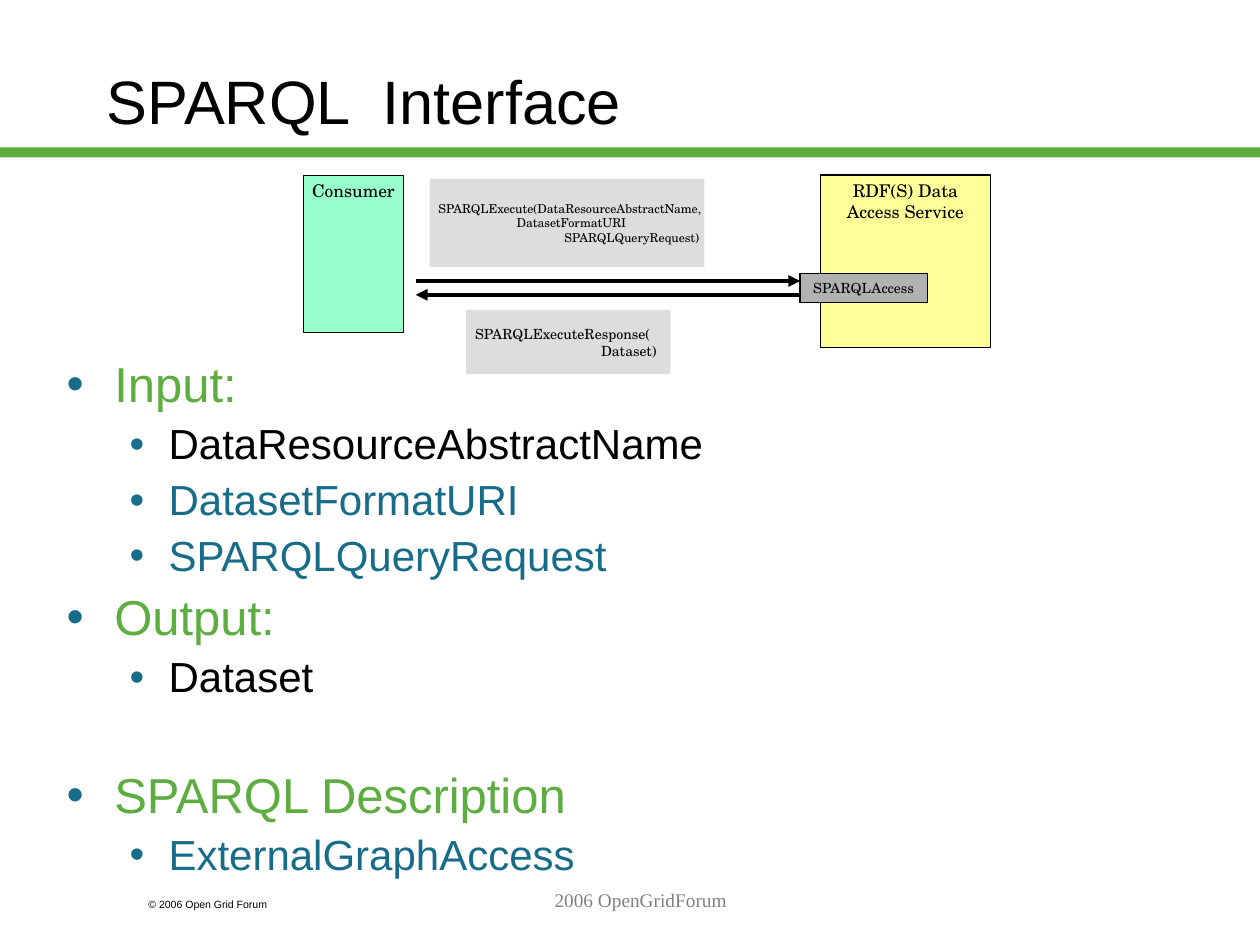
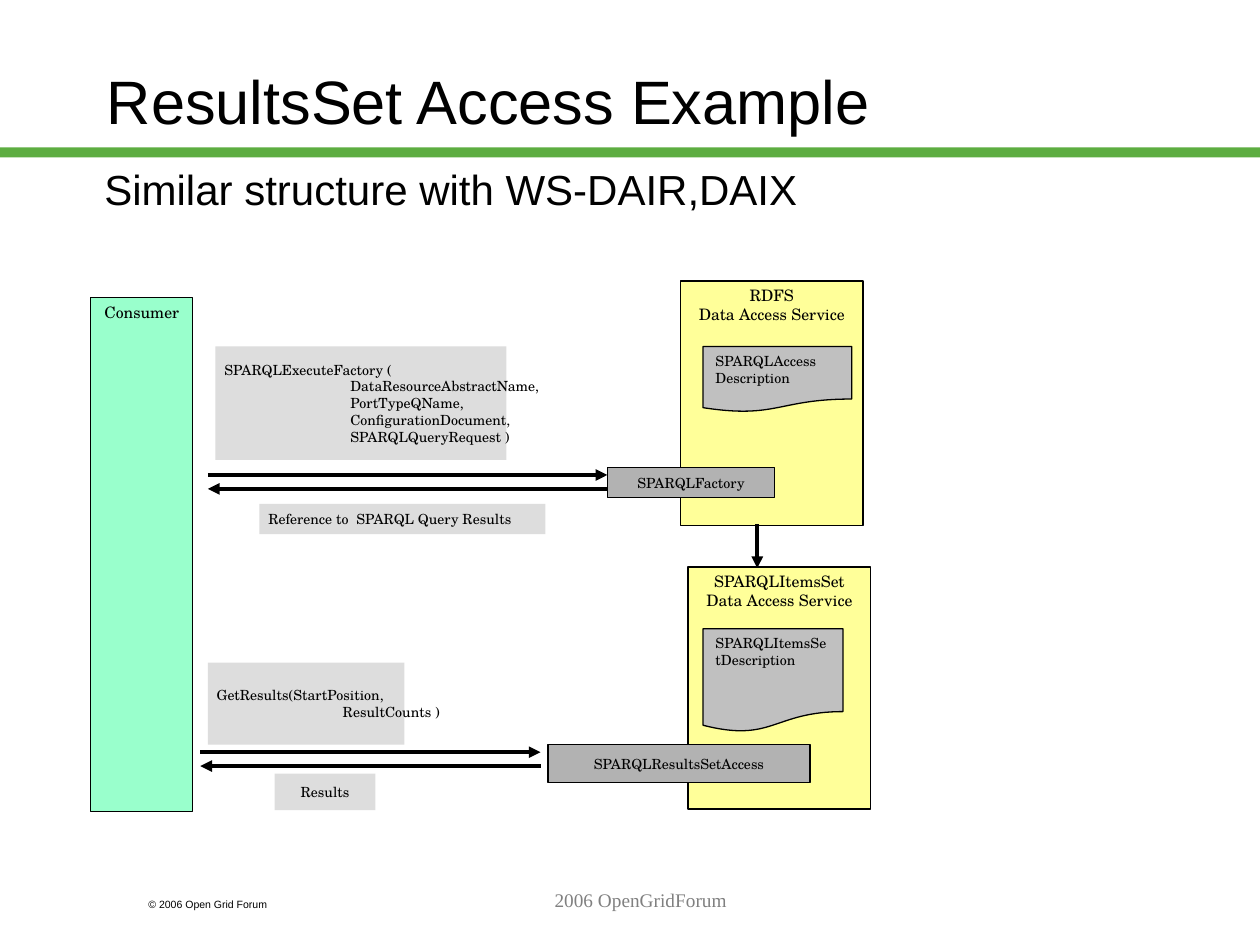
"""Two slides on the SPARQL interface and on access to result sets."""
from lxml import etree
from pptx import Presentation
from pptx.dml.color import RGBColor
from pptx.enum import shapes, text
from pptx.oxml.ns import qn
from pptx.util import Inches, Pt

WIDTH, HEIGHT = 10, 7.5
COLUMNS, ROWS = 100, 75
BLACK, GREEN, TEAL, GREY = "000000", "5DAD41", "176D89", "808080"
MINT, YELLOW, SILVER, MID_GREY, PALE = "99FFCC", "FFFF99", "C0C0C0", "B2B2B2", "DDDDDD"
SANS, SERIF, SCHOOL = "Arial", "Times New Roman", "TeX Gyre Schola"
LEFT, CENTER = text.PP_ALIGN.LEFT, text.PP_ALIGN.CENTER
TOP, MIDDLE = text.MSO_ANCHOR.TOP, text.MSO_ANCHOR.MIDDLE
RECTANGLE = shapes.MSO_SHAPE.RECTANGLE
DOCUMENT = shapes.MSO_SHAPE.FLOWCHART_DOCUMENT
ARGUMENT_INDENT = 10
ARROW_GAP = 1.1
LEVELS = [
    {"size": 28, "indent": 3.8, "hanging": 3.8, "before": 7},
    {"size": 24, "indent": 8.1, "hanging": 3.1, "before": 6},
]


def color(value):
    """Turn a hex string into a colour."""
    return RGBColor.from_string(value)


def across(columns):
    """Turn grid columns into a length."""
    return Inches(columns * WIDTH / COLUMNS)


def down(rows):
    """Turn grid rows into a length."""
    return Inches(rows * HEIGHT / ROWS)


def place(left, top, width, height):
    """Turn a grid area into lengths."""
    return across(left), down(top), across(width), down(height)


def apply(target, values):
    """Set each named value on the target."""
    for name, value in values.items():
        setattr(target, name, value)


def add_run(paragraph, wording, size, font, ink):
    """Add one run of formatted text to a paragraph."""
    run = paragraph.add_run()
    run.text = wording
    apply(run.font, {"size": Pt(size), "name": font})
    run.font.color.rgb = color(ink)


def paragraphs(frame, count):
    """Return the first paragraph of a frame and the ones added after it."""
    return [frame.paragraphs[0]] + [frame.add_paragraph() for _ in range(count - 1)]


def write(frame, lines, size, font=SCHOOL, ink=BLACK, align=LEFT, indents=(),
          anchor=TOP, wrap=True, inset=(0.1, 0.05)):
    """Fill a frame with lines, each with its own left indent."""
    side, edge = map(Inches, inset)
    apply(frame, {"margin_left": side, "margin_right": side, "margin_top": edge,
                  "margin_bottom": edge, "vertical_anchor": anchor, "word_wrap": wrap})
    for index, paragraph in enumerate(paragraphs(frame, len(lines))):
        paragraph.alignment = align
        if index < len(indents) and indents[index]:
            paragraph._p.get_or_add_pPr().set("marL", str(across(indents[index])))
        add_run(paragraph, lines[index], size, font, ink)


def caption(slide, area, wording, size, font=SANS, **style):
    """Add a line of free text."""
    box = slide.shapes.add_textbox(*place(*area))
    write(box.text_frame, [wording], size, font, **style)


def panel(slide, area, fill, outline=BLACK, kind=RECTANGLE):
    """Add a filled shape and return its text frame."""
    shape = slide.shapes.add_shape(kind, *place(*area))
    shape.shadow.inherit = False
    shape.fill.solid()
    shape.fill.fore_color.rgb = color(fill)
    if outline:
        shape.line.color.rgb = color(outline)
        shape.line.width = Pt(0.75)
    else:
        shape.line.fill.background()
    return shape.text_frame


def party(slide, area, fill, lines, size, **style):
    """Add a consumer or a service with its name at the top."""
    write(panel(slide, area, fill), lines, size, align=CENTER, inset=(0.07, 0.04), **style)


def port(slide, area, name):
    """Add the interface through which a service is reached."""
    write(panel(slide, area, MID_GREY), [name], 8, align=CENTER, anchor=MIDDLE,
          inset=(0.07, 0.04))


def message(slide, area, lines, size=8, indents=(), align=LEFT):
    """Add the wording of a request or a response."""
    write(panel(slide, area, PALE, None), lines, size, align=align, indents=indents,
          anchor=MIDDLE, wrap=False, inset=(0.07, 0.04))


def description(slide, area, lines):
    """Add a document that describes a service."""
    write(panel(slide, area, SILVER, kind=DOCUMENT), lines, 8)


def arrow(slide, start, end):
    """Draw an arrow between two grid points."""
    link = slide.shapes.add_connector(
        shapes.MSO_CONNECTOR.STRAIGHT,
        across(start[0]), down(start[1]), across(end[0]), down(end[1]))
    link.line.color.rgb = color(BLACK)
    link.line.width = Pt(2.25)
    etree.SubElement(link.line._get_or_add_ln(), qn("a:tailEnd"), type="triangle")
    etree.SubElement(link._element.spPr, qn("a:effectLst"))


def exchange(slide, left, right, row):
    """Draw a request arrow with the response arrow below it."""
    arrow(slide, (left, row), (right, row))
    arrow(slide, (right, row + ARROW_GAP), (left, row + ARROW_GAP))


def add_bullet(paragraph, level):
    """Give a paragraph a hanging teal bullet."""
    properties = paragraph._p.get_or_add_pPr()
    properties.set("marL", str(across(level["indent"])))
    properties.set("indent", str(-across(level["hanging"])))
    tint = etree.SubElement(properties, qn("a:buClr"))
    etree.SubElement(tint, qn("a:srgbClr"), val=TEAL)
    etree.SubElement(properties, qn("a:buFont"), typeface=SANS)
    etree.SubElement(properties, qn("a:buChar"), char="•")


def outline(slide, area, items):
    """Add a bulleted list of (level, wording, ink, extra space before)."""
    frame = slide.shapes.add_textbox(*place(*area)).text_frame
    frame.word_wrap = True
    for index, paragraph in enumerate(paragraphs(frame, len(items))):
        depth, wording, ink, extra = items[index]
        level = LEVELS[depth]
        add_bullet(paragraph, level)
        before = level["before"] + extra if index else 0
        apply(paragraph, {"level": depth, "line_spacing": 0.9, "space_before": Pt(before)})
        add_run(paragraph, wording, level["size"], SANS, ink)


def add_slide(deck, title):
    """Add a slide with the title, the green band and both footers."""
    slide = deck.slides.add_slide(deck.slide_layouts[6])
    panel(slide, (0, 11.7, COLUMNS, 0.8), GREEN, None)
    caption(slide, (10.8, 70.8, 15, 2), "© 2006 Open Grid Forum", 6)
    caption(slide, (7.5, 1.7, 85, 12.5), title, 35, anchor=MIDDLE)
    caption(slide, (21.7, 70, 58.3, 5), "2006 OpenGridForum", 11, SERIF,
            ink=GREY, align=CENTER)
    return slide


def interface_slide(deck):
    """Build the slide on the SPARQL interface."""
    slide = add_slide(deck, "SPARQL  Interface")
    outline(slide, (4.3, 28.1, 85, 45), [
        (0, "Input:", GREEN, 0),
        (1, "DataResourceAbstractName", BLACK, 0),
        (1, "DatasetFormatURI", TEAL, 0),
        (1, "SPARQLQueryRequest", TEAL, 0),
        (0, "Output:", GREEN, 0),
        (1, "Dataset", BLACK, 0),
        (0, "SPARQL Description", GREEN, 32.5),
        (1, "ExternalGraphAccess", TEAL, 0),
    ])
    party(slide, (24.1, 13.9, 7.9, 12.5), MINT, ["Consumer"], 10, wrap=False)
    exchange(slide, 33, 63.5, 22.3)
    message(slide, (34.1, 14.2, 21.8, 7),
            ["SPARQLExecute(DataResourceAbstractName,", "DatasetFormatURI",
             "SPARQLQueryRequest)"], 7, indents=(0, 6.2, ARGUMENT_INDENT))
    message(slide, (37, 24.6, 16.2, 5.1), ["SPARQLExecuteResponse(", "Dataset)"],
            indents=(0, ARGUMENT_INDENT))
    party(slide, (65.1, 13.9, 13.5, 13.7), YELLOW, ["RDF(S) Data Access Service"], 10)
    port(slide, (63.5, 21.7, 10.1, 2.3), "SPARQLAccess")


def results_slide(deck):
    """Build the slide on access to a set of results."""
    slide = add_slide(deck, "ResultsSet Access Example")
    caption(slide, (7.3, 12.5, 57, 5), "Similar structure with WS-DAIR,DAIX", 24, wrap=False)
    party(slide, (7.2, 23.6, 8.1, 40.8), MINT, ["Consumer"], 9, wrap=False)

    exchange(slide, 16.5, 48.2, 37.7)
    message(slide, (17.1, 27.5, 23.1, 9),
            ["SPARQLExecuteFactory (", "DataResourceAbstractName,", "PortTypeQName,",
             "ConfigurationDocument,", "SPARQLQueryRequest )"],
            indents=[0] + [ARGUMENT_INDENT] * 4)
    message(slide, (20.6, 40, 22.7, 2.4), ["Reference to  SPARQL Query Results"])
    party(slide, (54, 22.3, 14.5, 19.4), YELLOW, ["RDFS", "Data Access Service"], 9,
          wrap=False)
    port(slide, (48.2, 37.1, 13.3, 2.4), "SPARQLFactory")
    description(slide, (55.8, 27.5, 11.8, 5.2), ["SPARQLAccess", "Description"])

    arrow(slide, (60.1, 41.6), (60.1, 45.1))
    party(slide, (54.6, 45, 14.5, 19.2), YELLOW,
          ["SPARQLItemsSet", "Data Access Service"], 9, wrap=False)
    port(slide, (43.5, 59.1, 20.8, 3), "SPARQLResultsSetAccess")
    exchange(slide, 15.9, 42.9, 59.7)
    message(slide, (16.5, 52.6, 15.6, 6.5), ["GetResults(StartPosition,", "ResultCounts )"],
            indents=(0, ARGUMENT_INDENT))
    message(slide, (21.8, 61.4, 8, 2.9), ["Results"], align=CENTER)
    description(slide, (55.8, 49.9, 11.1, 8.2), ["SPARQLItemsSetDescription"])


def main():
    """Build and save the presentation."""
    deck = Presentation()
    apply(deck, {"slide_width": Inches(WIDTH), "slide_height": Inches(HEIGHT)})
    interface_slide(deck)
    results_slide(deck)
    deck.save("out.pptx")


if __name__ == "__main__":
    main()
